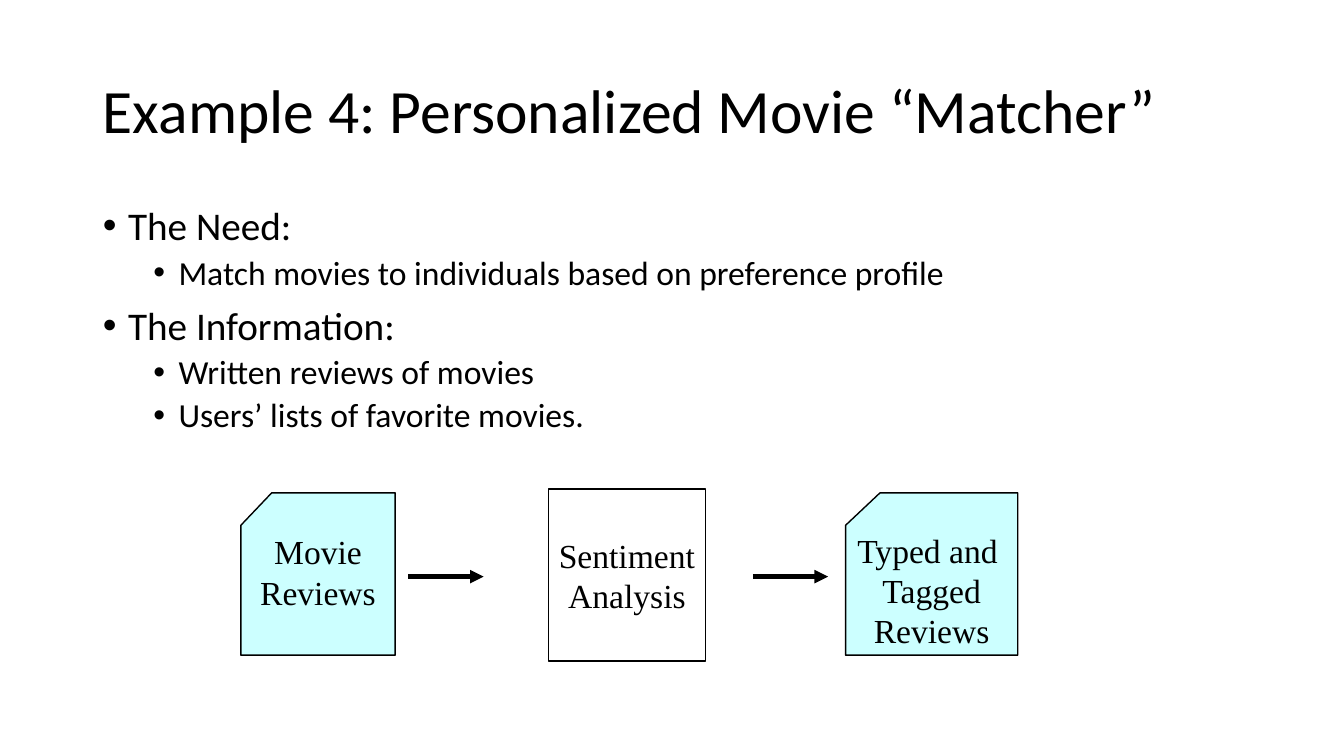
from dataclasses import dataclass

from lxml.etree import SubElement
from pptx import Presentation
from pptx.dml.color import RGBColor
from pptx.enum.shapes import MSO_CONNECTOR, MSO_SHAPE as Preset
from pptx.enum.text import MSO_ANCHOR as Anchor, MSO_AUTO_SIZE as AutoSize, PP_ALIGN as Align
from pptx.oxml.ns import qn
from pptx.util import Cm, Pt

BLACK = "000000"
CARD_FILL = "CCFFFF"
ARROW_Y = 14.53
ARROW_LENGTH = 1.9


@dataclass(frozen=True)
class Bullet:
    text: str
    level: int = 0


@dataclass(frozen=True)
class Stage:
    lines: tuple[str, ...]
    left: float
    top: float
    width: float
    height: float
    preset: Preset = Preset.FLOWCHART_CARD
    fill: str | None = CARD_FILL
    bottom_inset: float = 0.13


BULLETS = (
    Bullet("The Need:"),
    Bullet("Match movies to individuals based on preference profile", 1),
    Bullet("The Information:"),
    Bullet("Written reviews of movies", 1),
    Bullet("Users’ lists of favorite movies.", 1),
)

STAGES = (
    Stage(("Movie", "Reviews"), 6.07, 12.42, 3.89, 4.09, bottom_inset=1.06),
    Stage(("Sentiment", "Analysis"), 13.82, 12.32, 3.96, 4.34, Preset.RECTANGLE, None),
    Stage(("Typed and ", "Tagged", "Reviews"), 21.31, 12.42, 4.34, 4.09),
)

ARROW_LEFTS = (10.29, 18.97)


def color(hex_code: str) -> RGBColor:
    return RGBColor.from_string(hex_code)


def place(holder, left: float, top: float, width: float, height: float) -> None:
    holder.left, holder.top = Cm(left), Cm(top)
    holder.width, holder.height = Cm(width), Cm(height)


def write(paragraph, text: str, *, size: float, font: str = "Calibri",
          align: Align = Align.LEFT, spacing: float = 1.0, before: float = 0) -> None:
    paragraph.alignment = align
    paragraph.line_spacing = spacing
    paragraph.space_before = Pt(before)
    run = paragraph.add_run()
    run.text = text
    run.font.size = Pt(size)
    run.font.name = font
    run.font.color.rgb = color(BLACK)


def next_paragraph(frame, index: int):
    return frame.add_paragraph() if index else frame.paragraphs[0]


def add_title(slide, text: str) -> None:
    title = slide.shapes.title
    place(title, 2.34, 1.02, 29.21, 3.68)
    frame = title.text_frame
    frame.vertical_anchor = Anchor.MIDDLE
    frame.auto_size = AutoSize.NONE
    write(frame.paragraphs[0], text, size=44, spacing=0.9)


def add_bullets(slide, bullets: tuple[Bullet, ...]) -> None:
    body = slide.placeholders[1]
    place(body, 2.34, 5.08, 29.21, 12.09)
    frame = body.text_frame
    frame.auto_size = AutoSize.NONE
    for index, bullet in enumerate(bullets):
        paragraph = next_paragraph(frame, index)
        paragraph.level = bullet.level
        write(paragraph, bullet.text, size=24 if bullet.level else 28,
              spacing=0.9, before=5 if bullet.level else 10)
        properties = paragraph._p.get_or_add_pPr()
        properties.set("marL", str(Cm(0.635 + 1.27 * bullet.level)))
        properties.set("indent", str(Cm(-0.635)))
        SubElement(properties, qn("a:buFont"), typeface="Arial")
        SubElement(properties, qn("a:buChar"), char="•")


def add_stage(slide, stage: Stage) -> None:
    box = slide.shapes.add_shape(stage.preset, Cm(stage.left), Cm(stage.top),
                                 Cm(stage.width), Cm(stage.height))
    box.shadow.inherit = False
    if stage.fill:
        box.fill.solid()
        box.fill.fore_color.rgb = color(stage.fill)
    else:
        box.fill.background()
    box.line.color.rgb = color(BLACK)
    box.line.width = Pt(1)
    frame = box.text_frame
    frame.word_wrap = False
    frame.vertical_anchor = Anchor.MIDDLE
    frame.margin_bottom = Cm(stage.bottom_inset)
    for index, line in enumerate(stage.lines):
        write(next_paragraph(frame, index), line, size=24,
              font="Times New Roman", align=Align.CENTER)


def add_arrow(slide, left: float) -> None:
    arrow = slide.shapes.add_connector(MSO_CONNECTOR.STRAIGHT, Cm(left), Cm(ARROW_Y),
                                       Cm(left + ARROW_LENGTH), Cm(ARROW_Y))
    arrow.line.color.rgb = color(BLACK)
    arrow.line.width = Pt(3.25)
    SubElement(arrow.line._get_or_add_ln(), qn("a:tailEnd"), type="triangle")
    SubElement(arrow._element.spPr, qn("a:effectLst"))


def main() -> None:
    deck = Presentation()
    deck.slide_width, deck.slide_height = Cm(33.87), Cm(19.05)
    slide = deck.slides.add_slide(deck.slide_layouts[1])
    add_title(slide, "Example 4: Personalized Movie “Matcher”")
    add_bullets(slide, BULLETS)
    for stage in STAGES:
        add_stage(slide, stage)
    for left in ARROW_LEFTS:
        add_arrow(slide, left)
    deck.save("out.pptx")


if __name__ == "__main__":
    main()
